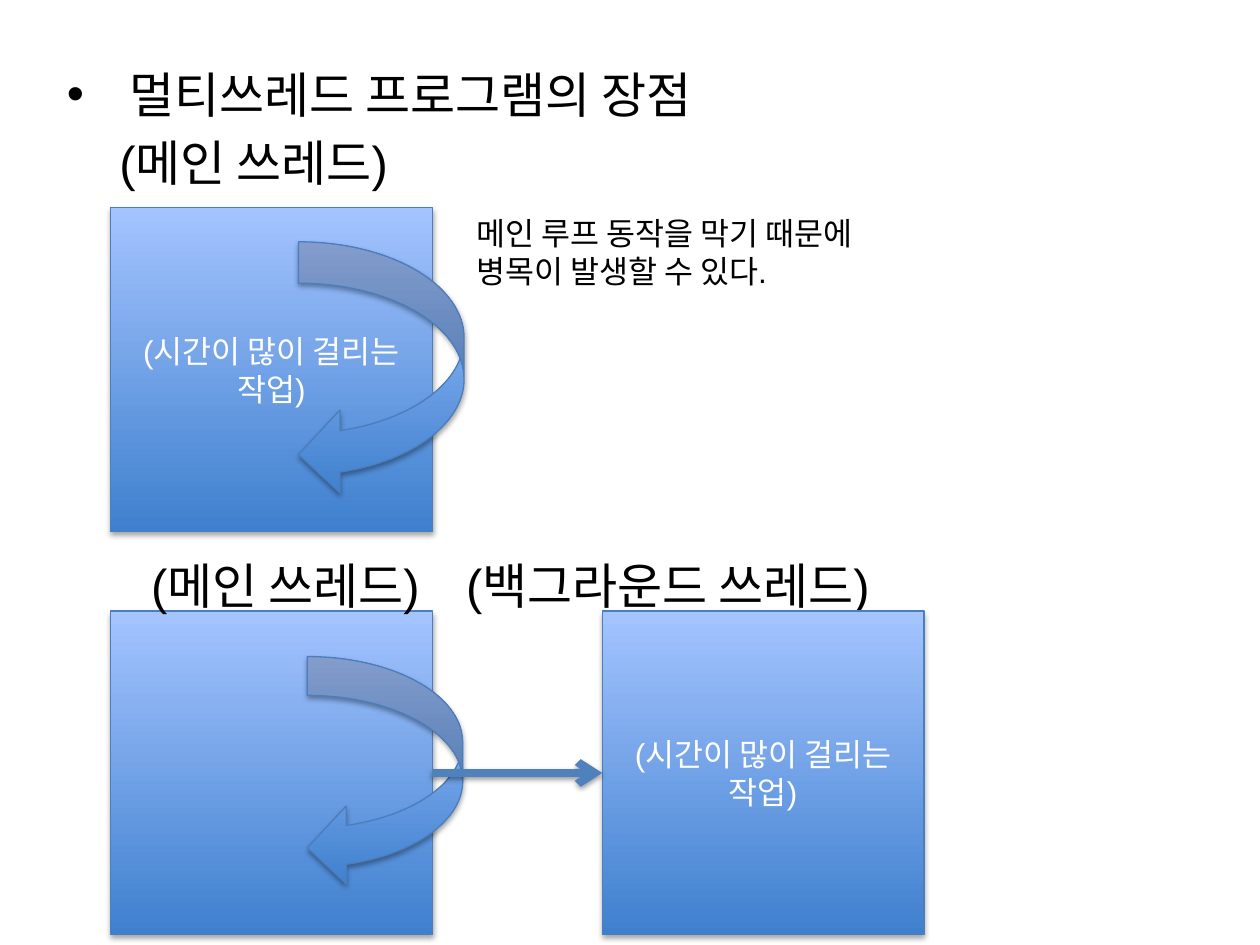
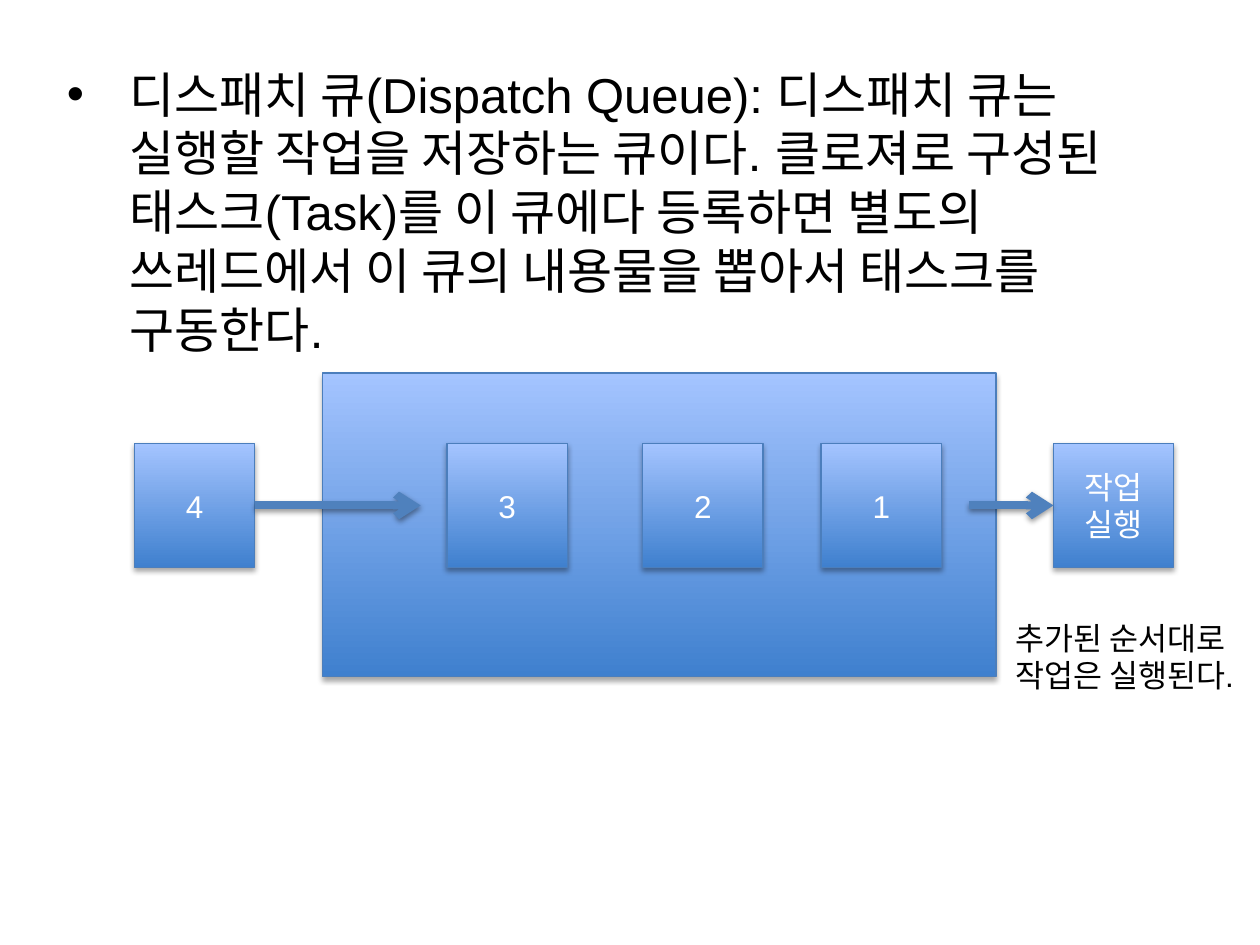
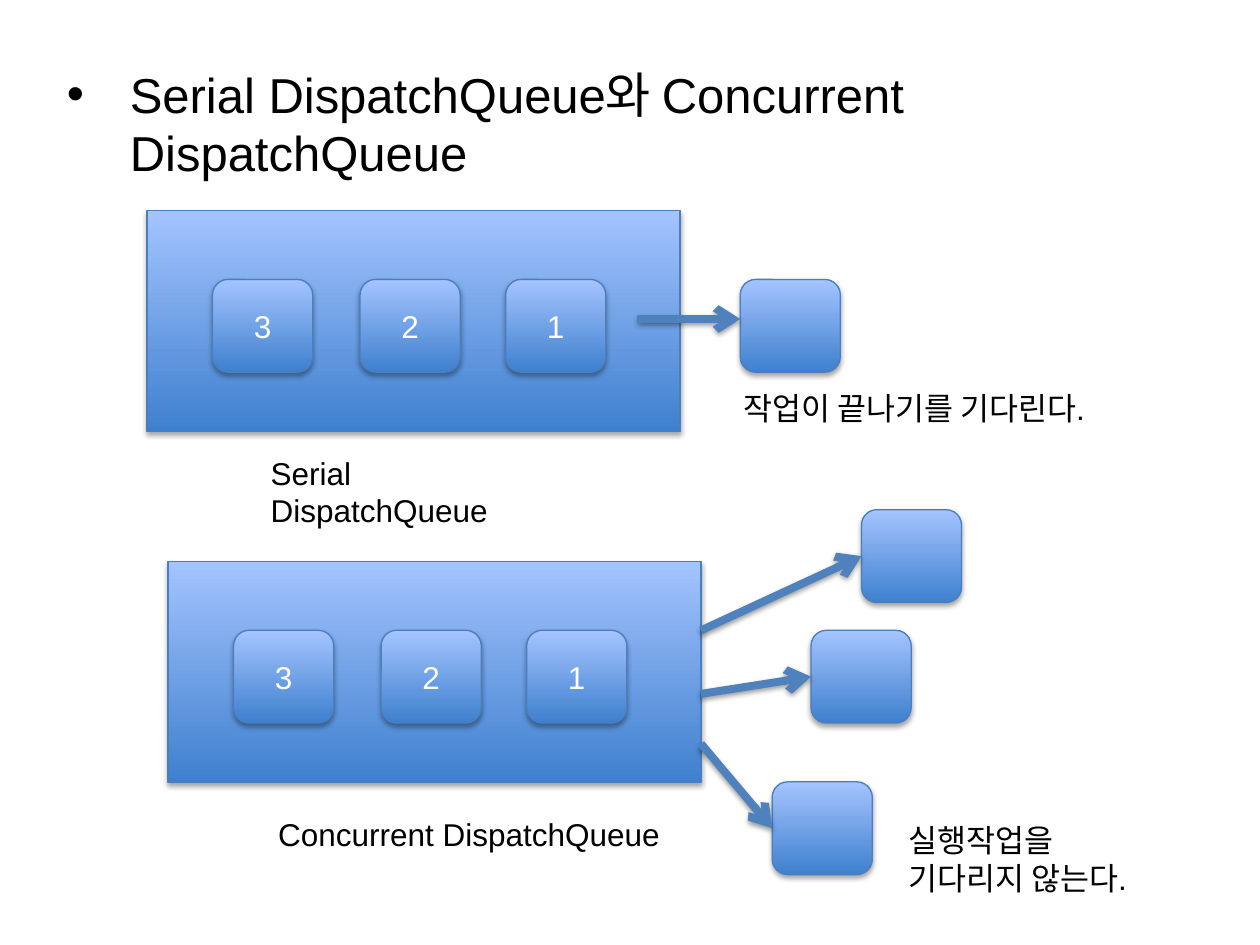
from lxml.etree import SubElement
from pptx import Presentation
from pptx.dml.color import RGBColor
from pptx.enum.shapes import MSO_CONNECTOR, MSO_SHAPE
from pptx.enum.text import MSO_ANCHOR, MSO_AUTO_SIZE, PP_ALIGN
from pptx.oxml.ns import qn
from pptx.util import Pt

BLACK = RGBColor(0x00, 0x00, 0x00)
WHITE = RGBColor(0xFF, 0xFF, 0xFF)
DEEP_BLUE = RGBColor(0x3F, 0x80, 0xCE)
PALE_BLUE = RGBColor(0xA4, 0xC4, 0xFF)
OUTLINE = RGBColor(0x4B, 0x7E, 0xBC)
ARROW = RGBColor(0x4F, 0x81, 0xBD)
FONT = "Arial"
LARGE, SMALL = 28, 18
BODY = (31, 33, 653, 482.4)

LONG_TASK = "(시간이 많이 걸리는 작업)"
MAIN_THREAD = "(메인 쓰레드)"
BACKGROUND_THREAD = "(백그라운드 쓰레드)"
THREAD_TITLE = "멀티쓰레드 프로그램의 장점"
THREAD_NOTE = ["메인 루프 동작을 막기 때문에", "병목이 발생할 수 있다."]
THREAD_SIZE = (183.8, 185)
THREAD_LEFT, BACKGROUND_LEFT = 63.2, 344.2
BLOCKED_TOP, FREE_TOP = 118.8, 349.2
BLOCKED_LOOP = (170.6, 138.2, 94.6, 145.2)
FREE_LOOP = (175.6, 375.2, 88.8, 131.4)

QUEUE_TITLE = (
    "디스패치 큐(Dispatch Queue): 디스패치 큐는 실행할 작업을 저장하는 큐이다. "
    "클로져로 구성된 태스크(Task)를 이 큐에다 등록하면 별도의 쓰레드에서 "
    "이 큐의 내용물을 뽑아서 태스크를 구동한다."
)
QUEUE_NOTE = ["추가된 순서대로", "작업은 실행된다."]
QUEUE_FRAME = (184.3, 213.1, 384.8, 173.5)
TASK_TOP, TASK_SIZE = 253.4, (68.8, 70.9)
TASKS = [("4", 76.8), ("3", 255.4), ("2", 367.2), ("1", 469.2), ("작업 실행", 602)]
TASK_ARROWS = [(145.6, 240.4), (553.7, 602)]

KINDS_TITLE = "Serial DispatchQueue와 Concurrent DispatchQueue"
QUEUE_SIZE, CARD_SIZE = (304.6, 126.2), (57.2, 53)
CARDS = [("3", 37.5), ("2", 121.8), ("1", 205)]
CARD_DROP = 39.3
SERIAL_AT, CONCURRENT_AT = (84, 120.4), (96, 320.9)
SERIAL_WORKER = (423, 159.7)
SERIAL_ARROW = (364.3, 182.3, 423, 182.3)
CONCURRENT_WORKERS = [((492.3, 291.3), 360.2), ((463.5, 360.2), 396.5), ((441.3, 446.8), 425)]
KINDS_NOTES = [
    (["Serial DispatchQueue"], (147.6, 255.6, 187, 29)),
    (["작업이 끝나기를 기다린다."], (417.6, 218.9, 232.6, 29)),
    (["Concurrent DispatchQueue"], (151.9, 462.2, 236.5, 29)),
    (["실행작업을", "기다리지 않는다."], (511.9, 465.8, 154, 51)),
]


def points(values):
    return [Pt(value) for value in values]


def write(frame, lines, size=SMALL, color=BLACK, align=PP_ALIGN.LEFT):
    for index, line in enumerate(lines):
        para = frame.paragraphs[0] if index == 0 else frame.add_paragraph()
        para.alignment = align
        span = para.add_run()
        span.text = line
        span.font.name, span.font.size = FONT, Pt(size)
        span.font.color.rgb = color
    return frame.paragraphs


def indent(para, left, first=0):
    props = para._p.get_or_add_pPr()
    props.set("marL", str(Pt(left)))
    props.set("indent", str(Pt(first)))
    return props


def cast_shadow(effects, alpha, blur, distance):
    shadow = SubElement(effects, qn("a:outerShdw"), blurRad=str(Pt(blur)),
                        dist=str(Pt(distance)), dir="5400000", rotWithShape="0")
    color = SubElement(shadow, qn("a:srgbClr"), val=str(BLACK))
    SubElement(color, qn("a:alpha"), val=str(alpha * 1000))


def add_page(deck, lines):
    page = deck.slides.add_slide(deck.slide_layouts[0])
    title = page.shapes.title
    title._element.getparent().remove(title._element)
    body = page.placeholders[1]
    body.left, body.top, body.width, body.height = points(BODY)
    body.text_frame.vertical_anchor = MSO_ANCHOR.TOP
    paras = write(body.text_frame, lines, size=LARGE)
    props = indent(paras[0], 36, -36)
    SubElement(props, qn("a:buFont"), typeface=FONT)
    SubElement(props, qn("a:buChar"), char="•")
    for para in paras[1:]:
        indent(para, 30)
    return page


def add_block(page, area, text="", kind=MSO_SHAPE.RECTANGLE):
    box = page.shapes.add_shape(kind, *points(area))
    box.fill.gradient()
    box.fill.gradient_angle = 90
    for stop, color, position in zip(box.fill.gradient_stops, (DEEP_BLUE, PALE_BLUE), (0, 1)):
        stop.color.rgb, stop.position = color, position
    box.line.color.rgb, box.line.width = OUTLINE, Pt(0.75)
    box.shadow.inherit = False
    cast_shadow(box._element.spPr.find(qn("a:effectLst")), 35, 3.1, 1.8)
    if text:
        box.text_frame.vertical_anchor = MSO_ANCHOR.MIDDLE
        write(box.text_frame, [text], color=WHITE, align=PP_ALIGN.CENTER)


def add_arrow(page, ends):
    link = page.shapes.add_connector(MSO_CONNECTOR.STRAIGHT, *points(ends))
    link.line.color.rgb, link.line.width = ARROW, Pt(4.5)
    props = link._element.spPr
    SubElement(props.find(qn("a:ln")), qn("a:tailEnd"), type="arrow")
    cast_shadow(SubElement(props, qn("a:effectLst")), 38, 3.1, 1.6)


def add_note(page, lines, area, size=SMALL):
    box = page.shapes.add_textbox(*points(area))
    box.text_frame.word_wrap = True
    box.text_frame.auto_size = MSO_AUTO_SIZE.SHAPE_TO_FIT_TEXT
    return write(box.text_frame, lines, size=size)


def add_card(page, place, text=""):
    add_block(page, (*place, *CARD_SIZE), text, MSO_SHAPE.ROUNDED_RECTANGLE)


def add_queue(page, place):
    left, top = place
    add_block(page, (left, top, *QUEUE_SIZE))
    for text, offset in CARDS:
        add_card(page, (left + offset, top + CARD_DROP), text)


def build_threads(deck):
    page = add_page(deck, [THREAD_TITLE, MAIN_THREAD])
    add_block(page, (THREAD_LEFT, BLOCKED_TOP, *THREAD_SIZE), LONG_TASK)
    add_block(page, BLOCKED_LOOP, kind=MSO_SHAPE.CURVED_LEFT_ARROW)
    add_note(page, THREAD_NOTE, (265, 118.8, 261.4, 51))
    add_block(page, (THREAD_LEFT, FREE_TOP, *THREAD_SIZE))
    add_block(page, FREE_LOOP, kind=MSO_SHAPE.CURVED_LEFT_ARROW)
    heading = add_note(page, [f"{MAIN_THREAD}\t{BACKGROUND_THREAD}"],
                       (79.2, 314, 566, 41), size=LARGE)[0]
    tabs = SubElement(indent(heading, 0), qn("a:tabLst"))
    SubElement(tabs, qn("a:tab"), pos=str(Pt(238.5)), algn="l")
    add_block(page, (BACKGROUND_LEFT, FREE_TOP, *THREAD_SIZE), LONG_TASK)
    middle = FREE_TOP + THREAD_SIZE[1] / 2
    add_arrow(page, (THREAD_LEFT + THREAD_SIZE[0], middle, BACKGROUND_LEFT, middle))


def build_dispatch_queue(deck):
    page = add_page(deck, [QUEUE_TITLE])
    add_block(page, QUEUE_FRAME)
    for text, left in TASKS:
        add_block(page, (left, TASK_TOP, *TASK_SIZE), text)
    middle = TASK_TOP + TASK_SIZE[1] / 2
    for start, end in TASK_ARROWS:
        add_arrow(page, (start, middle, end, middle))
    add_note(page, QUEUE_NOTE, (573, 350, 154, 51))


def build_queue_kinds(deck):
    page = add_page(deck, [KINDS_TITLE])
    add_queue(page, SERIAL_AT)
    add_card(page, SERIAL_WORKER)
    add_arrow(page, SERIAL_ARROW)
    add_queue(page, CONCURRENT_AT)
    queue_right = CONCURRENT_AT[0] + QUEUE_SIZE[0]
    for (left, top), start in CONCURRENT_WORKERS:
        add_card(page, (left, top))
        add_arrow(page, (queue_right, start, left, top + CARD_SIZE[1] / 2))
    for lines, area in KINDS_NOTES:
        add_note(page, lines, area)


deck = Presentation()
deck.slide_width, deck.slide_height = Pt(720), Pt(540)
build_threads(deck)
build_dispatch_queue(deck)
build_queue_kinds(deck)
deck.save("out.pptx")
